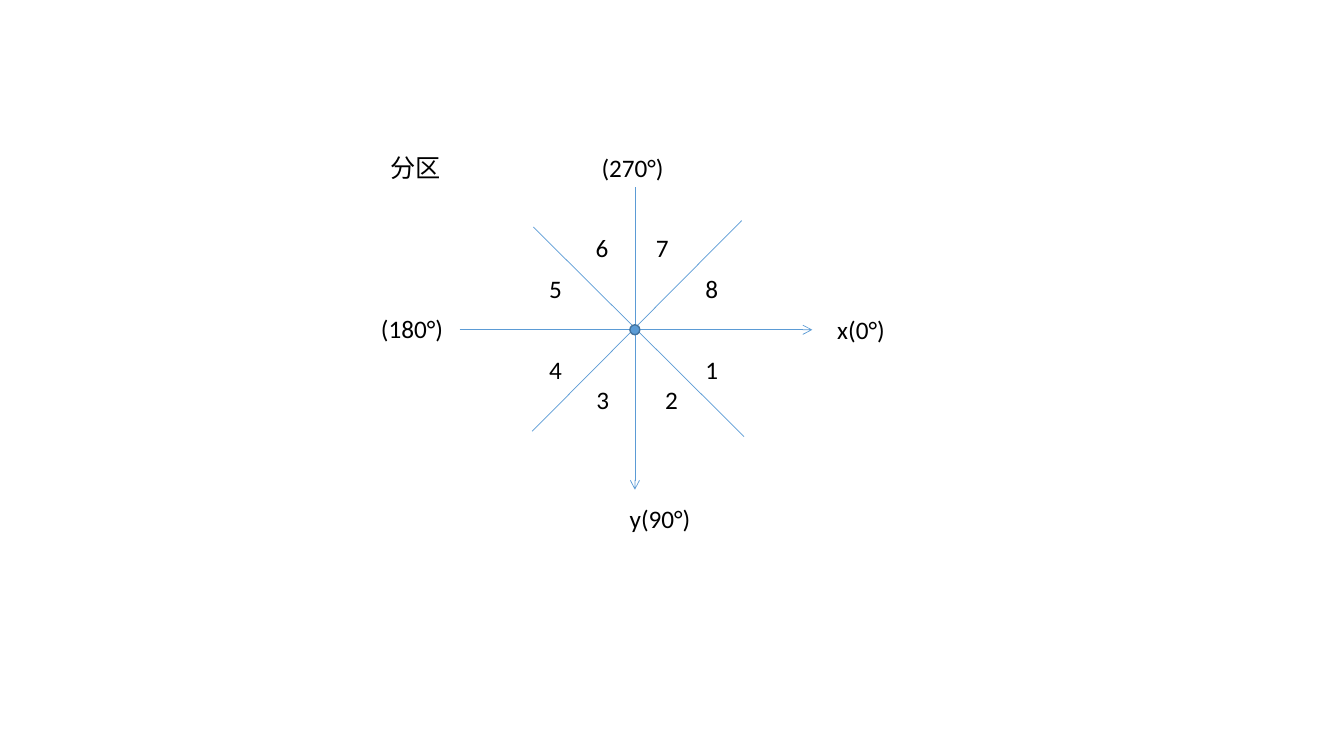
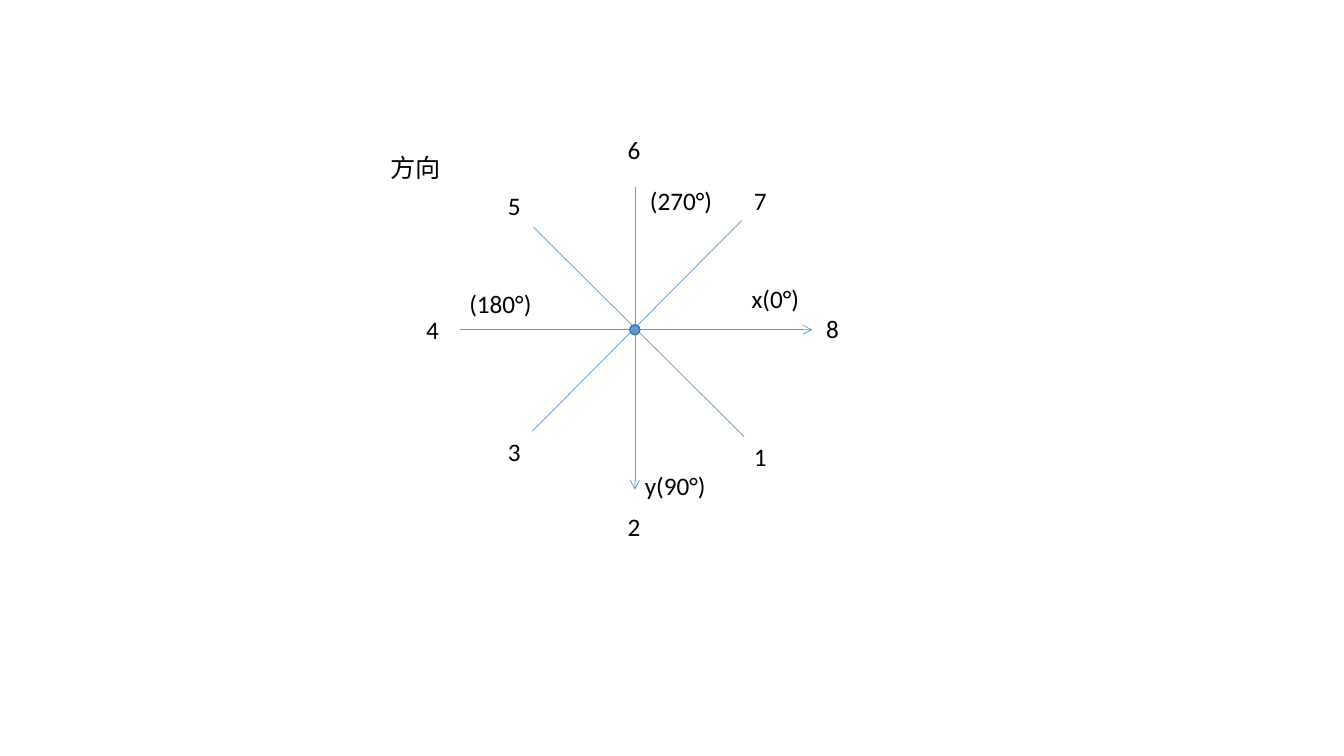
"""Draw the eight sectors and the eight directions around an origin."""
from dataclasses import dataclass

from lxml import etree
from pptx import Presentation
from pptx.dml.color import RGBColor
from pptx.enum.shapes import MSO_CONNECTOR, MSO_SHAPE
from pptx.enum.text import MSO_AUTO_SIZE
from pptx.oxml.ns import qn
from pptx.util import Cm, Pt

STRAIGHT = MSO_CONNECTOR.STRAIGHT
OVAL = MSO_SHAPE.OVAL
FIT_TEXT = MSO_AUTO_SIZE.SHAPE_TO_FIT_TEXT


@dataclass(frozen=True)
class Theme:
    blue: RGBColor = RGBColor(0x5B, 0x9B, 0xD5)
    dark_blue: RGBColor = RGBColor(0x43, 0x73, 0x9E)
    black: RGBColor = RGBColor(0, 0, 0)
    font: str = "Calibri"
    text_size: Pt = Pt(18)
    line_width: Pt = Pt(0.5)
    outline_width: Pt = Pt(1)


ORIGIN = (16, 8.31)
DOT = 0.25
AXES = [(11.58, 8.31, 20.47, 8.31), (16, 4.72, 16, 12.34)]
DIAGONALS = [(13.41, 10.87, 18.69, 5.56), (18.75, 11, 13.44, 5.72)]
AXIS_LABELS = [("x(0°)", 1.85), ("y(90°)", 2.21), ("(180°)", 2.24), ("(270°)", 2.24)]
LABEL_HEIGHT = 1.02
DIGIT_WIDTH = 0.86
TITLE_AT = (9.58, 3.71)
TITLE_WIDTH = 1.78

DIAGRAMS = [
    (
        "分区",
        [(20.85, 7.8), (15.62, 12.57), (9.35, 7.77), (14.91, 3.71)],
        [(17.53, 8.81), (16.51, 9.55), (14.78, 9.55), (13.59, 8.81),
         (13.59, 6.76), (14.76, 5.72), (16.28, 5.72), (17.53, 6.76)],
    ),
    (
        "方向",
        [(18.69, 7.01), (16, 11.73), (11.58, 7.14), (16.13, 4.55)],
        [(18.75, 11), (15.57, 12.75), (12.55, 10.87), (10.49, 7.8),
         (12.55, 4.67), (15.57, 3.25), (18.75, 4.55), (20.57, 7.77)],
    ),
]


class Deck:
    def __init__(self, prs, theme):
        self.prs = prs
        self.theme = theme
        self.slide = None

    def new_slide(self):
        self.slide = self.prs.slides.add_slide(self.prs.slide_layouts[6])

    def line(self, x1, y1, x2, y2, arrow=False):
        sp = self.slide.shapes.add_connector(STRAIGHT, Cm(x1), Cm(y1), Cm(x2), Cm(y2))
        sp.line.color.rgb = self.theme.blue
        sp.line.width = self.theme.line_width
        if arrow:
            etree.SubElement(sp.line._get_or_add_ln(), qn("a:tailEnd"), type="arrow")
        etree.SubElement(sp._element.spPr, qn("a:effectLst"))

    def dot(self, x, y, size):
        sp = self.slide.shapes.add_shape(
            OVAL, Cm(x - size / 2), Cm(y - size / 2), Cm(size), Cm(size))
        sp.shadow.inherit = False
        sp.fill.solid()
        sp.fill.fore_color.rgb = self.theme.blue
        sp.line.color.rgb = self.theme.dark_blue
        sp.line.width = self.theme.outline_width

    def label(self, text, at, width):
        x, y = at
        sp = self.slide.shapes.add_textbox(Cm(x), Cm(y), Cm(width), Cm(LABEL_HEIGHT))
        tf = sp.text_frame
        tf.word_wrap = False
        tf.auto_size = FIT_TEXT
        r = tf.paragraphs[0].add_run()
        r.text = text
        r.font.name = self.theme.font
        r.font.size = self.theme.text_size
        r.font.color.rgb = self.theme.black

    def compass(self):
        for axis in AXES:
            self.line(*axis, arrow=True)
        for diagonal in DIAGONALS:
            self.line(*diagonal)
        self.dot(*ORIGIN, DOT)


def main():
    prs = Presentation()
    prs.slide_width, prs.slide_height = Cm(33.87), Cm(19.05)
    deck = Deck(prs, Theme())
    for title, axis_spots, digit_spots in DIAGRAMS:
        deck.new_slide()
        deck.compass()
        for (text, width), at in zip(AXIS_LABELS, axis_spots):
            deck.label(text, at, width)
        for number, at in enumerate(digit_spots, start=1):
            deck.label(str(number), at, DIGIT_WIDTH)
        deck.label(title, TITLE_AT, TITLE_WIDTH)
    prs.save("out.pptx")


if __name__ == "__main__":
    main()
